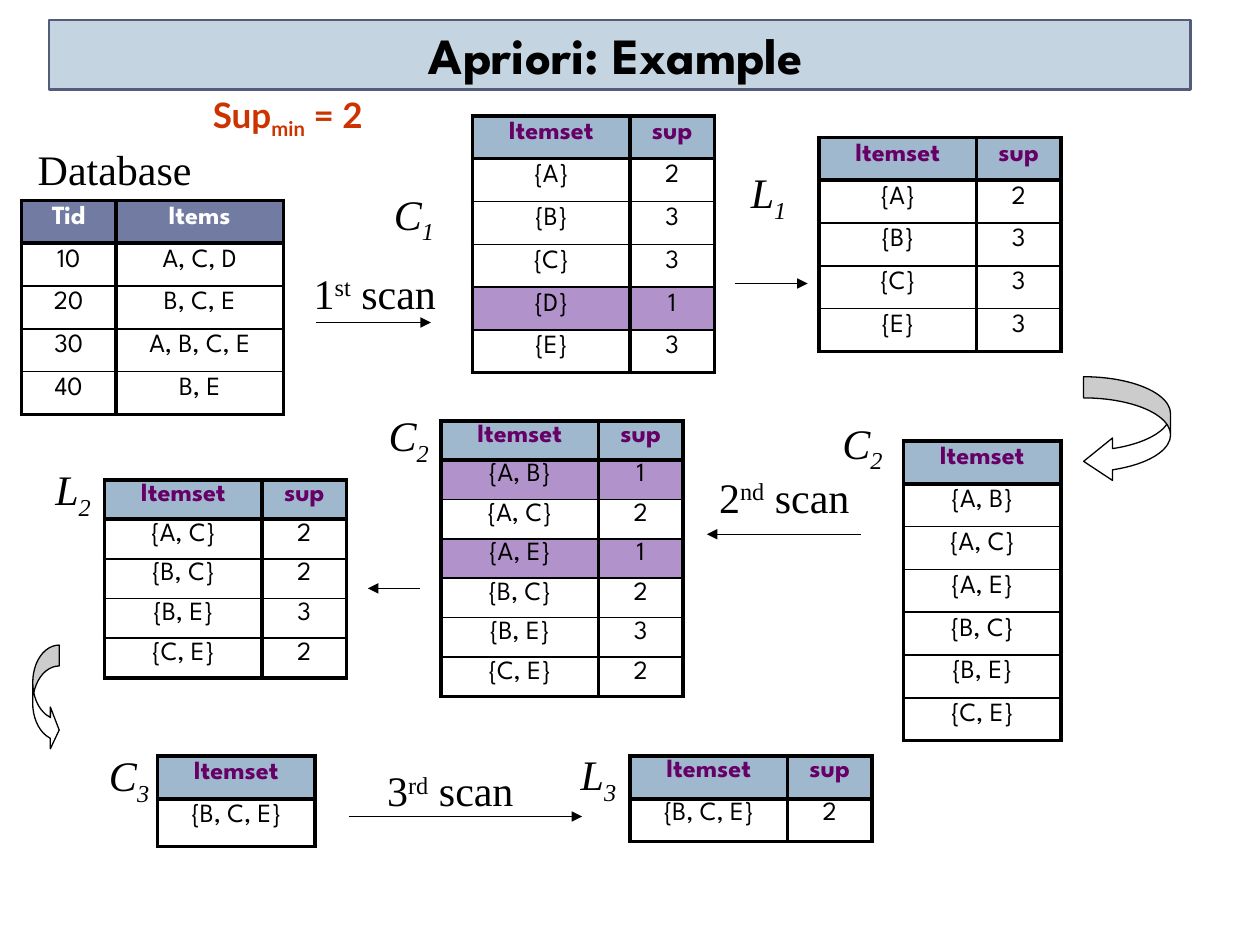
from lxml import etree
from pptx import Presentation
from pptx.dml.color import RGBColor
from pptx.enum.shapes import MSO_CONNECTOR, MSO_SHAPE
from pptx.enum.text import MSO_ANCHOR, PP_ALIGN
from pptx.oxml.ns import qn
from pptx.util import Inches, Pt

BLACK = RGBColor(0, 0, 0)
WHITE = RGBColor(255, 255, 255)
BANNER_FILL = RGBColor(0xC5, 0xD4, 0xE1)
BANNER_LINE = RGBColor(0x54, 0x5C, 0x79)
DATABASE_HEADER = RGBColor(0x72, 0x7C, 0xA3)
ITEMSET_HEADER = RGBColor(0x9F, 0xB8, 0xCD)
PURPLE = RGBColor(0x66, 0, 0x66)
PRUNED = RGBColor(0xB2, 0x92, 0xCA)
RED = RGBColor(0xCC, 0x33, 0)
CENTER, LEFT = PP_ALIGN.CENTER, PP_ALIGN.LEFT
MIDDLE, TOP, BOTTOM = MSO_ANCHOR.MIDDLE, MSO_ANCHOR.TOP, MSO_ANCHOR.BOTTOM
RECTANGLE = MSO_SHAPE.RECTANGLE
LEFT_CURVE, RIGHT_CURVE = MSO_SHAPE.CURVED_LEFT_ARROW, MSO_SHAPE.CURVED_RIGHT_ARROW
STRAIGHT = MSO_CONNECTOR.STRAIGHT
HEADING, SERIF, SANS = "League Spartan", "Times New Roman", "Lato"
SUB, SUPER = -25000, 30000
THICK, THIN = 2.25, 1

SET_LABELS = [
    ("C", "1", 3.02, 1.47, 0.53),
    ("L", "1", 5.85, 1.3, 0.5),
    ("L", "2", 0.33, 3.66, 0.5),
    ("C", "2", 2.98, 3.23, 0.53),
    ("C", "2", 6.58, 3.29, 0.53),
    ("C", "3", 0.76, 5.93, 0.53),
    ("L", "3", 4.5, 5.92, 0.5),
]
SCAN_LABELS = [
    ("1", "st", 2.38, 2.07, 1.19),
    ("2", "nd", 5.59, 3.69, 1.27),
    ("3", "rd", 2.96, 6.02, 1.23),
]
ARROWS = [
    (2.51, 3.42, 2.56),
    (6.83, 5.61, 4.24),
    (2.77, 4.62, 6.48),
    (5.83, 6.41, 2.25),
    (3.33, 2.92, 4.67),
]
CURVED_ARROWS = [
    (LEFT_CURVE, (8.6, 2.99, 0.69, 0.84), (0.244, 0.488, 0.333)),
    (RIGHT_CURVE, (0.26, 5.12, 0.21, 0.84), (0.79, 1.58, 0.333)),
]
PAIR = ["Itemset", "sup"]
TABLES = [
    {"at": (0.17, 1.59), "height": 1.7, "header": 0.34, "spacing": 0.9, "widths": (0.75, 1.33),
     "rows": [["Tid", "Items"], ["10", "A, C, D"], ["20", "B, C, E"],
              ["30", "A, B, C, E"], ["40", "B, E"]],
     "colors": (DATABASE_HEADER, WHITE)},
    {"at": (3.75, 0.92), "height": 2.04, "header": 0.34, "spacing": 0.9,
     "rows": [PAIR, ["{A}", "2"], ["{B}", "3"], ["{C}", "3"], ["{D}", "1"], ["{E}", "3"]]},
    {"at": (6.5, 1.09), "height": 1.7, "header": 0.34, "spacing": 0.9,
     "rows": [PAIR, ["{A}", "2"], ["{B}", "3"], ["{C}", "3"], ["{E}", "3"]]},
    {"at": (7.17, 3.5), "height": 2.38, "header": 0.34, "spacing": 0.9,
     "rows": [["Itemset"], ["{A, B}"], ["{A, C}"], ["{A, E}"],
              ["{B, C}"], ["{B, E}"], ["{C, E}"]]},
    {"at": (3.5, 3.34), "height": 2.19, "header": 0.31, "spacing": 0.8,
     "rows": [PAIR, ["{A, B}", "1"], ["{A, C}", "2"], ["{A, E}", "1"],
              ["{B, C}", "2"], ["{B, E}", "3"], ["{C, E}", "2"]]},
    {"at": (0.83, 3.81), "height": 1.57, "header": 0.31, "spacing": 0.8,
     "rows": [PAIR, ["{A, C}", "2"], ["{B, C}", "2"], ["{B, E}", "3"], ["{C, E}", "2"]]},
    {"at": (1.25, 6), "height": 0.72, "header": 0.34, "spacing": 0.9,
     "rows": [["Itemset"], ["{B, C, E}"]]},
    {"at": (5, 6), "height": 0.68, "header": 0.34, "spacing": 0.8,
     "rows": [PAIR, ["{B, C, E}", "2"]]},
]

deck = Presentation()
deck.slide_width, deck.slide_height = Inches(10), Inches(7.5)
page = deck.slides.add_slide(deck.slide_layouts[6])


def style(span, size, font, color, bold=False, italic=False):
    span.font.size, span.font.name = Pt(size), font
    span.font.bold, span.font.italic = bold, italic
    span.font.color.rgb = color


def add_text(at, parts, size=24, font=SERIF, color=BLACK, bold=False, italic=False,
             align=CENTER, anchor=MIDDLE, wrap=False):
    frame = page.shapes.add_textbox(*map(Inches, at)).text_frame
    frame.word_wrap, frame.vertical_anchor = wrap, anchor
    para = frame.paragraphs[0]
    para.alignment = align
    for text, baseline in parts:
        span = para.add_run()
        span.text = text
        style(span, size, font, color, bold, italic)
        if baseline:
            span.font._element.set("baseline", str(baseline))


def add_outlined(kind, at, fill, line, width):
    shape = page.shapes.add_shape(kind, *map(Inches, at))
    shape.shadow.inherit = False
    shape.fill.solid()
    shape.fill.fore_color.rgb = fill
    shape.line.color.rgb, shape.line.width = line, Pt(width)
    return shape


def add_arrow(start, end, y):
    arrow = page.shapes.add_connector(STRAIGHT, Inches(start), Inches(y), Inches(end), Inches(y))
    arrow.line.color.rgb, arrow.line.width = BLACK, Pt(0.75)
    etree.SubElement(arrow.line._get_or_add_ln(), qn("a:tailEnd"), type="triangle")
    etree.SubElement(arrow._element.spPr, qn("a:effectLst"))


def set_borders(cell, top, bottom):
    properties = cell._tc.get_or_add_tcPr()
    for side, width in (("L", THICK), ("R", THICK), ("T", top), ("B", bottom)):
        line = etree.SubElement(properties, qn("a:ln" + side), w=str(Pt(width)))
        fill = etree.SubElement(line, qn("a:solidFill"))
        etree.SubElement(fill, qn("a:srgbClr"), val=str(BLACK))


def add_grid(at, height, header, spacing, rows, widths=(1.25, 0.67),
             colors=(ITEMSET_HEADER, PURPLE)):
    widths = widths[:len(rows[0])]
    last = len(rows) - 1
    table = page.shapes.add_table(len(rows), len(widths), *map(Inches, at),
                                  Inches(sum(widths)), Inches(height)).table
    table.horz_banding = table.first_row = False
    for column, width in zip(table.columns, widths):
        column.width = Inches(width)
    for r, values in enumerate(rows):
        table.rows[r].height = Inches((height - header) / last if r else header)
        fill = PRUNED if values[-1] == "1" else None
        fill, color = (fill, BLACK) if r else colors
        for c, value in enumerate(values):
            cell = table.cell(r, c)
            set_borders(cell, THICK if r < 2 else THIN, THICK if r in (0, last) else THIN)
            if fill is None:
                cell.fill.background()
            else:
                cell.fill.solid()
                cell.fill.fore_color.rgb = fill
            cell.text_frame.text = value
            para = cell.text_frame.paragraphs[0]
            para.alignment, para.line_spacing, para.space_before = CENTER, spacing, Pt(6)
            style(para.runs[0], 15, HEADING, color, bold=r == 0)


add_outlined(RECTANGLE, (0.39, 0.16, 9.06, 0.55), BANNER_FILL, BANNER_LINE, 1.5)
add_text((0.39, 0.17, 9, 0.55), [("Apriori: Example", 0)], 29, HEADING, bold=True,
         anchor=BOTTOM, wrap=True)
add_text((0.2, 1.09, 1.42, 0.5), [("Database", 0)])
for letter, index, x, y, width in SET_LABELS:
    add_text((x, y, width, 0.5), [(letter, 0), (index, SUB)], italic=True)
for number, suffix, x, y, width in SCAN_LABELS:
    add_text((x, y, width, 0.5), [(number, 0), (suffix, SUPER), (" scan", 0)])
for arrow in ARROWS:
    add_arrow(*arrow)
for kind, at, adjustments in CURVED_ARROWS:
    curve = add_outlined(kind, at, WHITE, BLACK, 0.75)
    for i, value in enumerate(adjustments):
        curve.adjustments[i] = value
for grid in TABLES:
    add_grid(**grid)
add_text((1.59, 0.69, 1.92, 0.43), [("Sup", 0), ("min", SUB), (" = 2", 0)], 20, SANS, RED,
         bold=True, align=LEFT, anchor=TOP, wrap=True)

deck.save("out.pptx")
